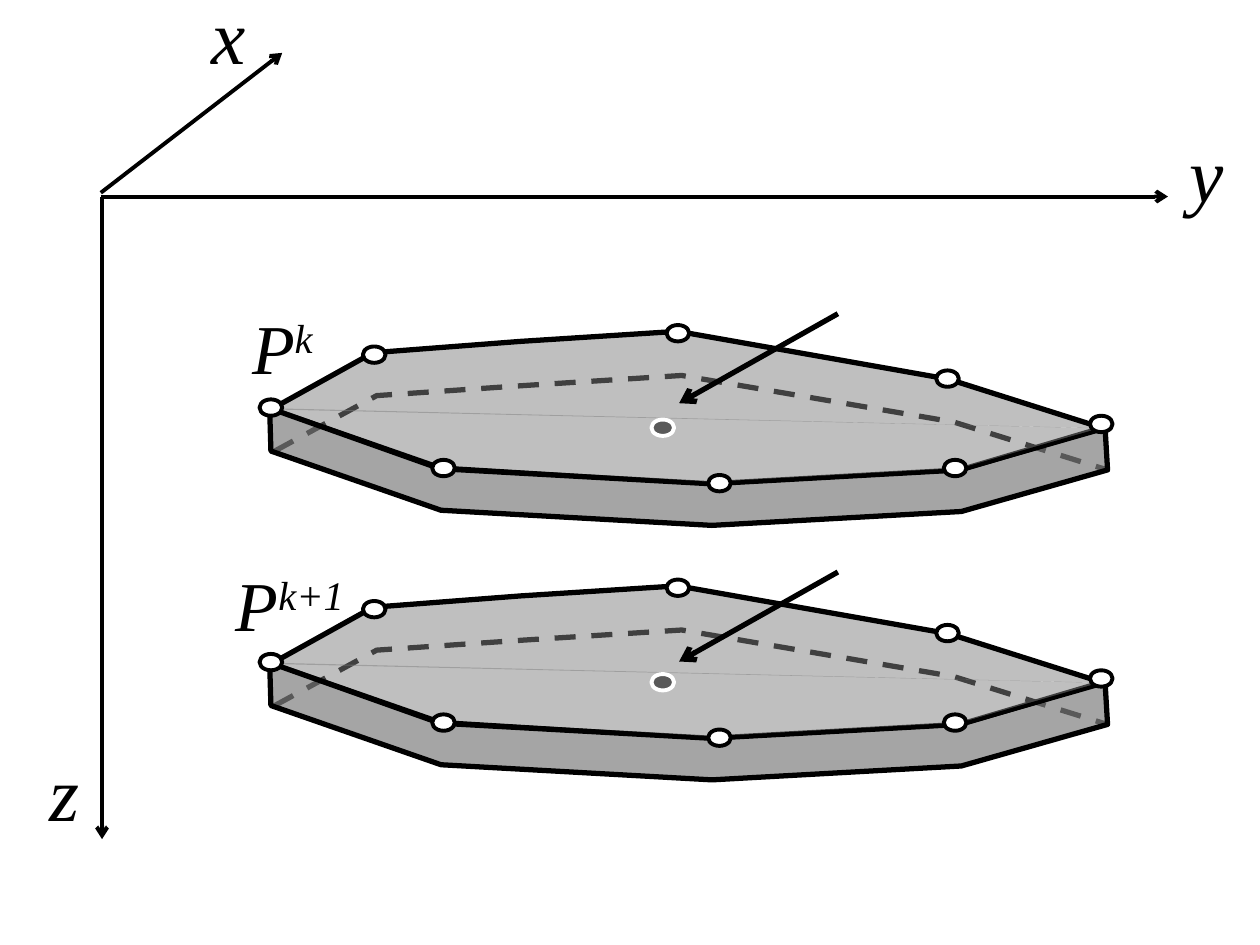
import dataclasses

import lxml.etree
import pptx
import pptx.dml.color
import pptx.enum.dml
import pptx.enum.shapes
import pptx.enum.text
import pptx.oxml.ns
import pptx.util
from pptx.util import Inches


@dataclasses.dataclass(frozen=True)
class Theme:
    font: str = "Times New Roman"
    black: pptx.dml.color.RGBColor = pptx.dml.color.RGBColor(0, 0, 0)
    white: pptx.dml.color.RGBColor = pptx.dml.color.RGBColor(255, 255, 255)
    slab: pptx.dml.color.RGBColor = pptx.dml.color.RGBColor(128, 128, 128)
    center: pptx.dml.color.RGBColor = pptx.dml.color.RGBColor(89, 89, 89)
    axis_size: float = 44
    plane_size: float = 40
    thin: float = 2.25
    thick: float = 3


theme = Theme()
qn = pptx.oxml.ns.qn

presentation = pptx.Presentation()
presentation.slide_width = Inches(10)
presentation.slide_height = Inches(7.5)
slide = presentation.slides.add_slide(presentation.slide_layouts[6])


def add_arrow(start, end, width):
    connector = slide.shapes.add_connector(
        pptx.enum.shapes.MSO_CONNECTOR.STRAIGHT, *map(Inches, start + end))
    connector.line.color.rgb = theme.black
    connector.line.width = pptx.util.Pt(width)
    line = connector.line._get_or_add_ln()
    lxml.etree.SubElement(line, qn("a:tailEnd"), type="arrow")
    lxml.etree.SubElement(connector._element.spPr, qn("a:effectLst"))


def add_label(box, size, text, superscript=""):
    shape = slide.shapes.add_textbox(*map(Inches, box))
    frame = shape.text_frame
    frame.word_wrap = True
    frame.auto_size = pptx.enum.text.MSO_AUTO_SIZE.SHAPE_TO_FIT_TEXT
    frame.margin_left = frame.margin_right = Inches(0.02)
    frame.margin_top = frame.margin_bottom = Inches(0.01)
    for content, raised in ((text, False), (superscript, True)):
        if not content:
            continue
        run = frame.paragraphs[0].add_run()
        run.text = content
        run.font.name = theme.font
        run.font.size = pptx.util.Pt(size)
        run.font.italic = True
        run.font.color.rgb = theme.black
        if raised:
            run._r.get_or_add_rPr().set("baseline", "30000")


# Slab outlines for the upper plane: points, fill opacity, line width, closed
hidden_edge = [(2.18, 3.58), (2.99, 3.14), (4.16, 3.06),
               (5.41, 2.98), (7.57, 3.35), (8.79, 3.73)]
back_half = [(2.15, 3.25), (2.96, 2.8), (4.13, 2.71),
             (5.38, 2.63), (7.53, 3.01), (8.76, 3.4)]
side = [(2.14, 3.24), (2.15, 3.58), (3.5, 4.05), (5.65, 4.17), (7.63, 4.06),
        (8.79, 3.73), (8.77, 3.39), (7.62, 3.73), (5.64, 3.84), (3.49, 3.72)]
front_half = [(2.15, 3.24), (3.5, 3.71), (5.65, 3.84), (7.63, 3.73), (8.78, 3.4)]
outlines = [
    (hidden_edge, None, theme.thick, False),
    (back_half, 50, theme.thick, False),
    (side, 70, theme.thick, True),
    (front_half, 50, theme.thin, False),
]

# Top-left corners of the vertex markers on the upper plane
marker_size = (0.18, 0.13)
vertices = [(3.43, 3.65), (2.88, 2.75), (5.29, 2.58), (7.43, 2.94),
            (7.49, 3.65), (5.62, 3.77), (2.06, 3.17), (8.65, 3.3)]
markers = [(corner, theme.white, theme.black) for corner in vertices]
markers.append(((5.17, 3.33), theme.center, theme.white))

# Two planes, the lower one first
plane_gap = 2.02
for shift in (plane_gap, 0):
    for points, opacity, width, closed in outlines:
        corners = [(Inches(x), Inches(y + shift)) for x, y in points]
        builder = slide.shapes.build_freeform(*corners[0])
        builder.add_line_segments(corners[1:], close=closed)
        shape = builder.convert_to_shape()
        shape.shadow.inherit = False
        shape.line.color.rgb = theme.black
        shape.line.width = pptx.util.Pt(width)
        if opacity is None:
            shape.fill.background()
            shape.line.dash_style = pptx.enum.dml.MSO_LINE.DASH
        else:
            shape.fill.solid()
            shape.fill.fore_color.rgb = theme.slab
            color = shape._element.spPr.find(qn("a:solidFill"))[0]
            lxml.etree.SubElement(color, qn("a:alpha"), val=str(opacity * 1000))

    for (left, top), fill, line in markers:
        marker = slide.shapes.add_shape(
            pptx.enum.shapes.MSO_SHAPE.OVAL,
            *map(Inches, (left, top + shift) + marker_size))
        marker.shadow.inherit = False
        marker.fill.solid()
        marker.fill.fore_color.rgb = fill
        marker.line.color.rgb = line
        marker.line.width = pptx.util.Pt(theme.thin)

# Plane names
add_label((1.98, 2.41, 0.82, 0.7), theme.plane_size, "P", "k")
add_label((1.85, 4.45, 1.05, 0.7), theme.plane_size, "P", "k+1")

# Axes with their names
axes = [
    ("x", (0.8, 1.53), (2.24, 0.42), (1.66, -0.11, 0.71, 0.76)),
    ("y", (0.8, 1.56), (9.27, 1.56), (9.42, 0.99, 0.62, 0.76)),
    ("z", (0.81, 1.56), (0.81, 6.66), (0.37, 5.9, 0.46, 0.76)),
]
for name, start, end, box in axes:
    add_arrow(start, end, theme.thin)
    add_label(box, theme.axis_size, name)

# Pointers to the plane centers
for top in (4.54, 2.49):
    add_arrow((6.65, top), (5.39, top + 0.71), theme.thick)

presentation.save("out.pptx")
